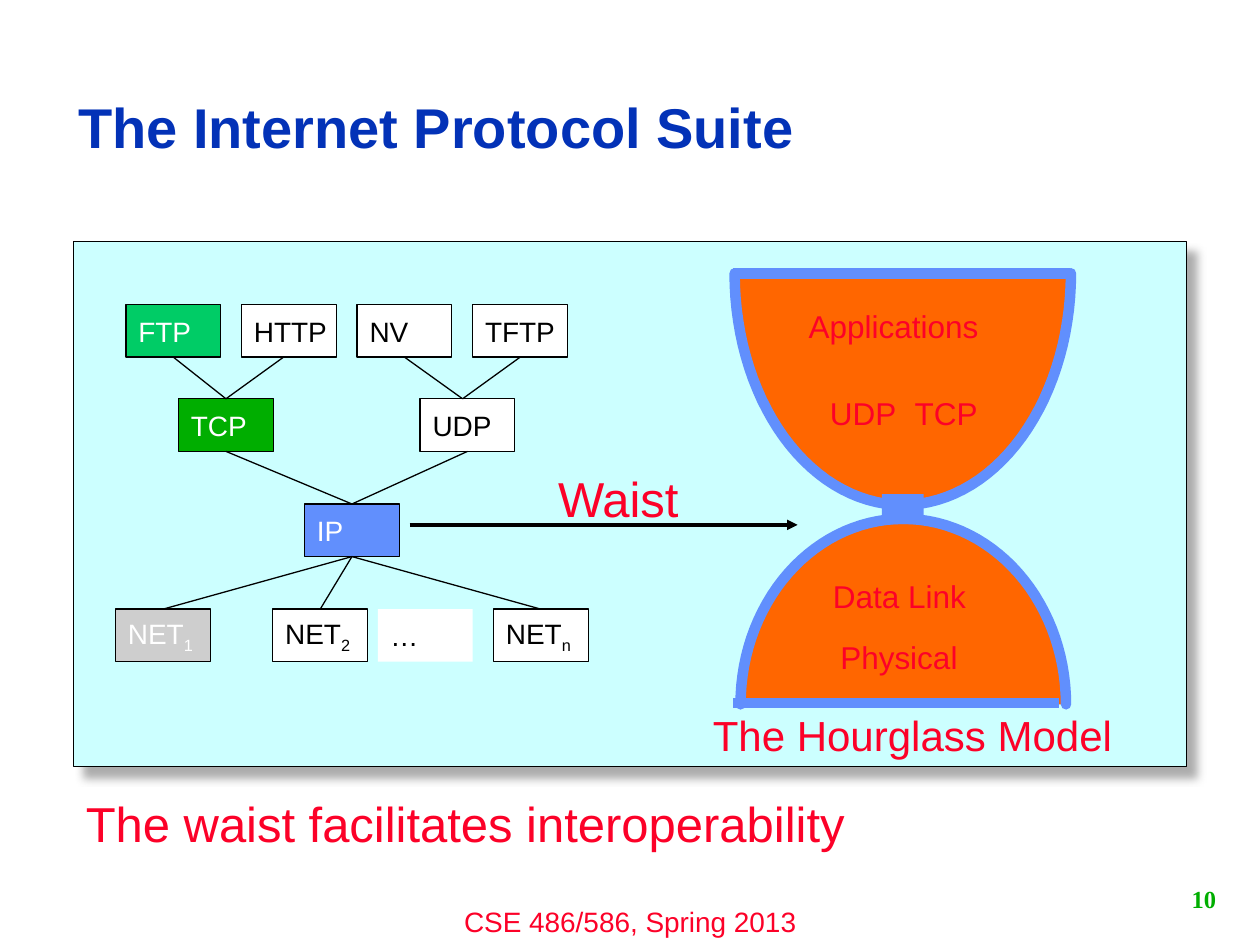
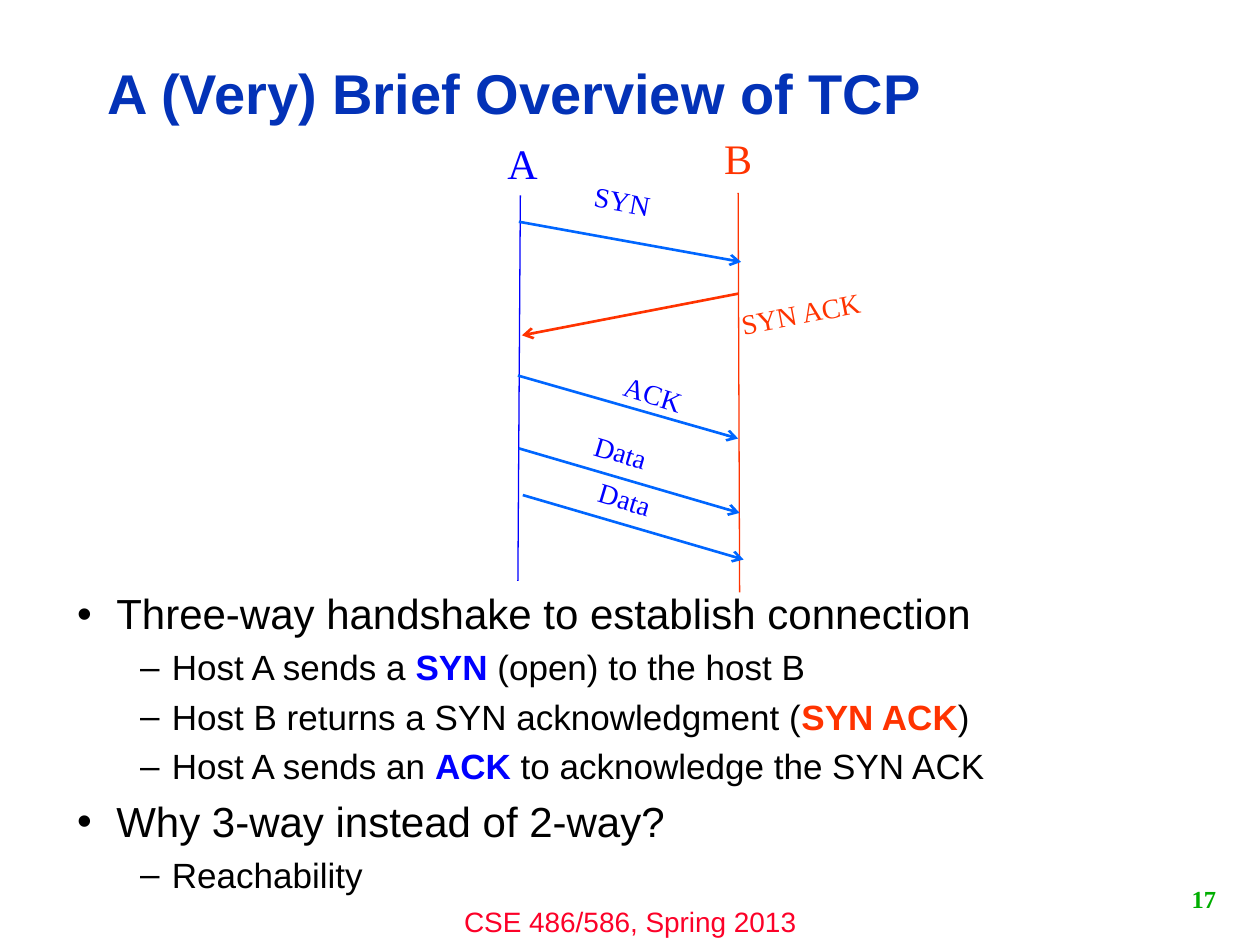
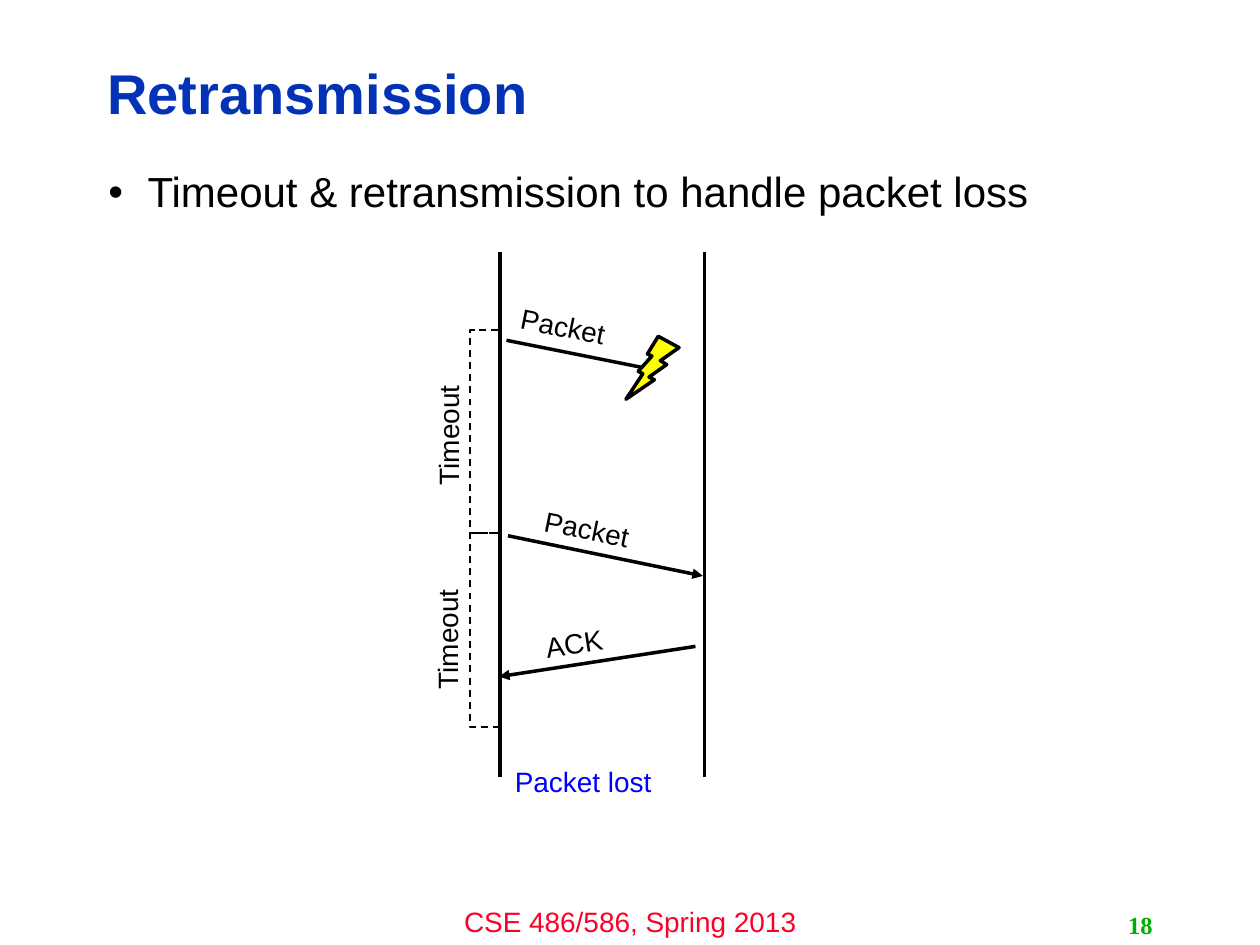
import math
from dataclasses import dataclass

from lxml import etree
from pptx import Presentation
from pptx import util as u
from pptx.dml import color
from pptx.enum import dml, shapes, text
from pptx.oxml import ns

Cm, Pt = u.Cm, u.Pt


@dataclass(frozen=True)
class Theme:
    # Fonts
    sans: str = "Arial"
    serif: str = "Times New Roman"
    # Type sizes
    title_size: int = 32
    statement_size: int = 28
    list_size: int = 24
    sublist_size: int = 20
    caption_size: int = 18
    label_size: int = 16
    number_size: int = 14
    # Colours
    black: str = "000000"
    white: str = "FFFFFF"
    navy: str = "0332B7"
    red: str = "FC0128"
    green: str = "00AE00"
    mint: str = "00CC66"
    grey: str = "CECECE"
    pale: str = "CCFFFF"
    orange: str = "FF6600"
    periwinkle: str = "618FFD"
    blue: str = "0000FF"
    arrow_blue: str = "0066FF"
    scarlet: str = "FF3300"
    yellow: str = "FFFF00"
    shadow: str = "919191"


THEME = Theme()
TITLE_AT = (1.91, 0.91, 20.27, 2.06)
NUMBER_AT = (22.23, 17.58, 2.54, 1.07)
LEFT, CENTER, RIGHT = text.PP_ALIGN.LEFT, text.PP_ALIGN.CENTER, text.PP_ALIGN.RIGHT
TOP, MIDDLE, BOTTOM = text.MSO_ANCHOR.TOP, text.MSO_ANCHOR.MIDDLE, text.MSO_ANCHOR.BOTTOM


def rgb(value):
    return color.RGBColor.from_string(value)


def lengths(values):
    return [Cm(value) for value in values]


def write(paragraph, content, *, size=THEME.label_size, tint=THEME.black,
          font=THEME.sans, bold=False, align=LEFT):
    """Fill a paragraph from a string or from (text, changes) runs."""
    paragraph.alignment = align
    runs = [(content, {})] if isinstance(content, str) else content
    for words, changes in runs:
        run = paragraph.add_run()
        run.text = words
        run.font.name = font
        run.font.size = Pt(size)
        run.font.bold = changes.get("bold", bold)
        run.font.color.rgb = rgb(changes.get("tint", tint))
        if "baseline" in changes:
            run.font._element.set("baseline", str(changes["baseline"]))


class Deck:
    def __init__(self, theme):
        self.theme = theme
        self.presentation = Presentation()
        self.presentation.slide_width = Cm(25.4)
        self.presentation.slide_height = Cm(19.05)
        self.slide = None

    def new_slide(self, title, number, has_list=True, title_at=TITLE_AT,
                  title_anchor=MIDDLE, number_at=NUMBER_AT):
        """Start a slide with its title, footer and number."""
        theme = self.theme
        layout = self.presentation.slide_layouts[1 if has_list else 5]
        self.slide = self.presentation.slides.add_slide(layout)
        frame = self.place(self.slide.shapes.title, title_at, title_anchor)
        frame.paragraphs[0].line_spacing = 0.9
        write(frame.paragraphs[0], title, size=theme.title_size, tint=theme.navy, bold=True)
        self.label("CSE 486/586, Spring 2013", (8.47, 18.11, 8.47, 0.94),
                   anchor=TOP, wrap=True, tint=theme.red, align=CENTER)
        self.label(number, number_at, grow=False, size=theme.number_size,
                   tint=theme.green, font=theme.serif, bold=True, align=RIGHT)

    def place(self, placeholder, at, anchor):
        placeholder.left, placeholder.top, placeholder.width, placeholder.height = lengths(at)
        frame = placeholder.text_frame
        frame.auto_size = text.MSO_AUTO_SIZE.NONE
        frame.vertical_anchor = anchor
        return frame

    def bullets(self, items, at):
        """Fill the body placeholder from (level, content) pairs."""
        theme = self.theme
        frame = self.place(self.slide.placeholders[1], at, TOP)
        for index, (level, content) in enumerate(items):
            paragraph = frame.add_paragraph() if index else frame.paragraphs[0]
            size, margin, hang, mark = [
                (theme.list_size, 0.79, 0.79, "•"),
                (theme.sublist_size, 1.91, 0.64, "–"),
            ][level]
            paragraph.level = level
            paragraph.line_spacing = 0.9
            paragraph.space_before = Pt(0.33 * size) if index else Pt(0)
            write(paragraph, content, size=size)
            properties = paragraph._p.get_or_add_pPr()
            properties.set("marL", str(Cm(margin)))
            properties.set("indent", str(-Cm(hang)))
            etree.SubElement(properties, ns.qn("a:buFont"), typeface=theme.sans)
            etree.SubElement(properties, ns.qn("a:buChar"), char=mark)

    def label(self, content, at, rotation=0, anchor=MIDDLE, wrap=False, grow=True, **style):
        box = self.slide.shapes.add_textbox(*lengths(at))
        box.rotation = rotation
        frame = box.text_frame
        frame.word_wrap = wrap
        frame.vertical_anchor = anchor
        frame.auto_size = (text.MSO_AUTO_SIZE.SHAPE_TO_FIT_TEXT if grow
                           else text.MSO_AUTO_SIZE.NONE)
        write(frame.paragraphs[0], content, **style)

    def paint(self, shape, fill=None, line=None, width=0.75):
        shape.shadow.inherit = False
        if fill:
            shape.fill.solid()
            shape.fill.fore_color.rgb = rgb(fill)
        else:
            shape.fill.background()
        if line:
            shape.line.color.rgb = rgb(line)
            shape.line.width = Pt(width)
        else:
            shape.line.fill.background()
        return shape

    def shape(self, kind, at, fill=None, line=None, width=0.75):
        return self.paint(self.slide.shapes.add_shape(kind, *lengths(at)), fill, line, width)

    def box(self, at, fill=None, line=None, content=None, **style):
        shape = self.shape(shapes.MSO_SHAPE.RECTANGLE, at, fill, line)
        if content:
            shape.text_frame.word_wrap = False
            shape.text_frame.vertical_anchor = MIDDLE
            write(shape.text_frame.paragraphs[0], content, **style)
        return shape

    def panel(self, at):
        """Outlined panel with a soft shadow to the lower right."""
        panel = self.box(at, self.theme.pale, self.theme.black)
        effects = panel._element.spPr.find(ns.qn("a:effectLst"))
        shadow = etree.SubElement(
            effects, ns.qn("a:outerShdw"), blurRad=str(Pt(5)), dist=str(Pt(8.5)),
            dir="2700000", algn="tl", rotWithShape="0")
        tone = etree.SubElement(shadow, ns.qn("a:srgbClr"), val=self.theme.shadow)
        etree.SubElement(tone, ns.qn("a:alpha"), val="75000")

    def line(self, start, end, tint=THEME.black, width=0.75, arrow=None):
        connector = self.slide.shapes.add_connector(
            shapes.MSO_CONNECTOR.STRAIGHT, *lengths((*start, *end)))
        connector.line.color.rgb = rgb(tint)
        connector.line.width = Pt(width)
        if arrow:
            etree.SubElement(connector.line._get_or_add_ln(), ns.qn("a:tailEnd"), type=arrow)
        etree.SubElement(connector._element.spPr, ns.qn("a:effectLst"))
        return connector

    def link(self, upper, lower, upper_shift=0, lower_shift=0):
        """Join two boxes; a shifted end stays beside the middle of its side."""
        start = ((upper.left + upper.width / 2) / Cm(1) + upper_shift,
                 (upper.top + upper.height) / Cm(1))
        end = ((lower.left + lower.width / 2) / Cm(1) + lower_shift, lower.top / Cm(1))
        connector = self.line(start, end)
        if not upper_shift:
            connector.begin_connect(upper, 2)
        if not lower_shift:
            connector.end_connect(lower, 0)

    def bowl(self, center, radius_x, radius_y):
        """Half ellipse; a positive radius_y bulges downwards."""
        steps = 60
        points = []
        for step in range(steps + 1):
            angle = math.pi * step / steps
            points.append((Cm(center[0] - radius_x * math.cos(angle)),
                           Cm(center[1] + radius_y * math.sin(angle))))
        builder = self.slide.shapes.build_freeform(*points[0])
        builder.add_line_segments(points[1:], close=False)
        shape = self.paint(builder.convert_to_shape(), self.theme.orange,
                           self.theme.periwinkle, 6)
        shape.line._get_or_add_ln().set("cap", "rnd")


def protocol_suite(deck):
    theme = deck.theme
    deck.new_slide("The Internet Protocol Suite", "10", has_list=False,
                   title_at=(1.32, 0.18, 20.7, 3.18), title_anchor=BOTTOM)
    deck.panel((1.48, 4.87, 22.44, 10.58))
    deck.line((8.26, 10.58), (16.08, 10.58), width=2, arrow="triangle")

    # Hourglass
    deck.bowl((18.21, 14.2), 3.28, -3.74)
    deck.bowl((18.2, 5.51), 3.39, 4.67)
    deck.line((14.78, 5.51), (21.56, 5.51), theme.periwinkle, 6)
    deck.line((14.78, 14.17), (21.34, 14.17), theme.periwinkle, 6)
    deck.box((17.78, 9.96, 0.84, 0.61), theme.periwinkle)
    for words, left, top, width in [
        ("UDP", 16.48, 7.82, 1.85),
        ("TCP", 18.19, 7.82, 1.78),
        ("Data Link", 16.54, 11.51, 3.35),
        ("Physical", 16.69, 12.73, 3.07),
        ("Applications", 16.05, 6.07, 4.32),
    ]:
        deck.label(words, (left, top, width, 1.02), anchor=TOP,
                   size=theme.caption_size, tint=theme.red)
    deck.label("The Hourglass Model", (14.12, 14.17, 9.07, 1.27), anchor=TOP,
               size=theme.list_size, tint=theme.red)
    for words, at in [
        ("Waist", (11, 9.32, 4.45, 1.45)),
        ("The waist facilitates interoperability", (1.48, 15.88, 16.71, 1.45)),
    ]:
        deck.label(words, at, anchor=TOP, wrap=True,
                   size=theme.statement_size, tint=theme.red)

    # Protocol tree
    def protocol(words, left, top, fill=theme.white, line=theme.black):
        tint = theme.black if fill == theme.white else theme.white
        return deck.box((left, top, 1.91, 1.06), fill, line, words, tint=tint)

    def network(index, left, fill=theme.white):
        return protocol([("NET", {}), (index, {"baseline": -25000})], left, 12.28, fill)

    ftp, http, nv, tftp = [
        protocol(words, 2.54 + 2.33 * column, 6.14, fill)
        for column, (words, fill) in enumerate([
            ("FTP", theme.mint), ("HTTP", theme.white),
            ("NV", theme.white), ("TFTP", theme.white)])
    ]
    tcp = protocol("TCP", 3.6, 8.04, theme.green)
    udp = protocol("UDP", 8.47, 8.04)
    ip = protocol("IP", 6.14, 10.16, theme.periwinkle)
    networks = [network("1", 2.33, theme.grey), network("2", 5.5), network("n", 9.95)]
    protocol("…", 7.62, 12.28, line=None)

    deck.link(ftp, tcp)
    deck.link(http, tcp, upper_shift=-0.11)
    deck.link(nv, udp, lower_shift=-0.1)
    deck.link(tftp, udp, lower_shift=-0.1)
    for transport in (tcp, udp):
        deck.link(transport, ip)
    for net in networks:
        deck.link(ip, net)


def tcp_overview(deck):
    theme = deck.theme
    deck.new_slide("A (Very) Brief Overview of TCP", "17")
    sent = {"tint": theme.blue, "bold": True}
    returned = {"tint": theme.scarlet, "bold": True}
    deck.bullets([
        (0, "Three-way handshake to establish connection"),
        (1, [("Host A sends a ", {}), ("SYN", sent), (" (open) to the host B", {})]),
        (1, [("Host B returns a SYN acknowledgment (", {}), ("SYN ACK", returned), (")", {})]),
        (1, [("Host A sends an ", {}), ("ACK", sent),
             (" to acknowledge the SYN ACK", {})]),
        (0, "Why 3-way instead of 2-way?"),
        (1, "Reachability"),
    ], (1.3, 11.84, 23.5, 5.38))

    # Host lifelines
    for host, at, start, end, tint in [
        ("A", (9.98, 2.64, 1.12, 1.27), (10.49, 3.94), (10.44, 11.71), theme.blue),
        ("B", (14.35, 2.54, 1.07, 1.27), (14.88, 3.89), (14.91, 11.94), theme.scarlet),
    ]:
        deck.line(start, end, tint)
        deck.label(host, at, size=theme.list_size, tint=tint, font=theme.serif)

    # Messages
    outgoing = (theme.arrow_blue, theme.blue)
    incoming = (theme.scarlet, theme.scarlet)
    for words, (left, top, width), rotation, start, end, (arrow_tint, tint) in [
        ("SYN", (11.73, 3.53, 1.93), 10.1, (10.46, 4.47), (14.94, 5.28), outgoing),
        ("SYN ACK", (14.67, 5.7, 3.63), -10.9, (14.88, 5.92), (10.52, 6.76), incoming),
        ("ACK", (12.32, 7.44, 2.01), 17.4, (10.44, 7.57), (14.88, 8.84), outgoing),
        ("Data", (11.73, 8.61, 1.85), 16.7, (10.46, 9.04), (14.91, 10.34), outgoing),
        ("Data", (11.81, 9.55, 1.85), 16.7, (10.54, 9.98), (14.99, 11.28), outgoing),
    ]:
        deck.line(start, end, arrow_tint, 1.5, "arrow")
        deck.label(words, (left, top, width, 1.09), rotation, tint=tint, font=theme.serif)


def retransmission(deck):
    theme = deck.theme
    deck.new_slide("Retransmission", "18", number_at=(18.21, 18.24, 5.28, 0.81))
    deck.bullets([(0, "Timeout & retransmission to handle packet loss")],
                 (1.93, 3.33, 21.34, 13.69))

    # Messages
    for words, (left, top, width), rotation, start, end, arrow in [
        ("Packet", (10.24, 6.07, 2.67), 11.5, (10.21, 6.86), (13.11, 7.44), None),
        ("Packet", (10.72, 10.16, 2.67), 11.5, (10.24, 10.8), (14.17, 11.61), "triangle"),
        ("ACK", (10.74, 12.4, 1.96), -8.8, (14.02, 13.03), (10.06, 13.64), "triangle"),
    ]:
        deck.line(start, end, width=2, arrow=arrow)
        deck.label(words, (left, top, width, 1.09), rotation)

    # Timeout brackets
    for top, bottom, label_left, label_top in [
        (6.65, 10.75, 7.34, 7.8),
        (10.75, 14.66, 7.32, 11.91),
    ]:
        bracket = deck.shape(shapes.MSO_SHAPE.LEFT_BRACKET,
                             (9.47, top, 0.61, bottom - top), line=theme.black, width=1)
        bracket.adjustments[0] = 0
        bracket.line.dash_style = dml.MSO_LINE.DASH
        deck.label("Timeout", (label_left, label_top, 3.38, 1.09), 270, wrap=True)

    # Lost packet
    bolt = deck.shape(shapes.MSO_SHAPE.LIGHTNING_BOLT, (12.62, 6.78, 1.07, 1.27),
                      theme.yellow, theme.black, 2)
    bolt._element.spPr.find(ns.qn("a:xfrm")).set("flipH", "1")
    deck.label("Packet lost", (10.13, 15.21, 4.24, 1.09), tint=theme.blue)

    # Lifelines
    for x in (10.08, 14.2):
        deck.line((x, 5.08), (x, 15.67), width=2)


def main():
    deck = Deck(THEME)
    protocol_suite(deck)
    tcp_overview(deck)
    retransmission(deck)
    deck.presentation.save("out.pptx")


if __name__ == "__main__":
    main()
